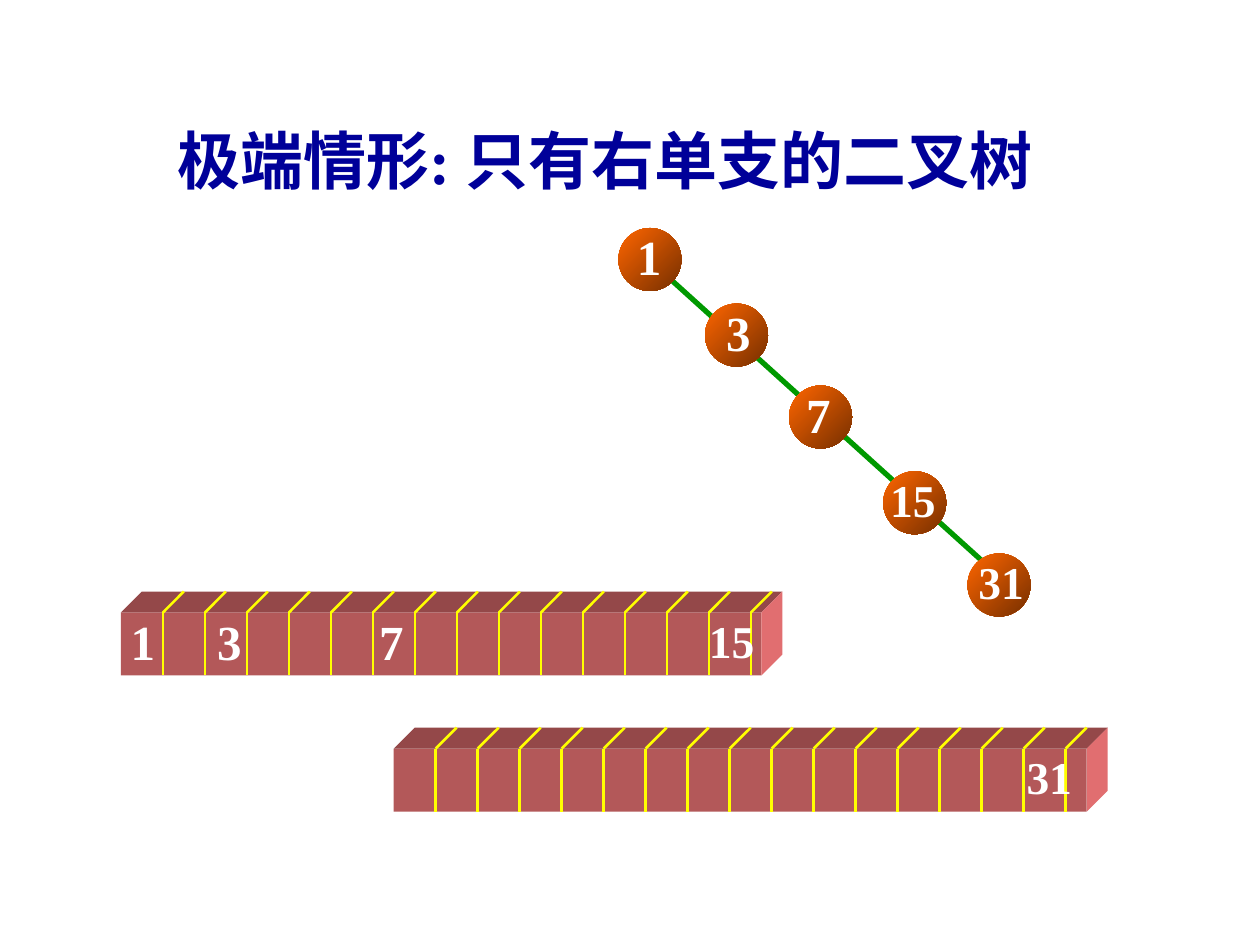
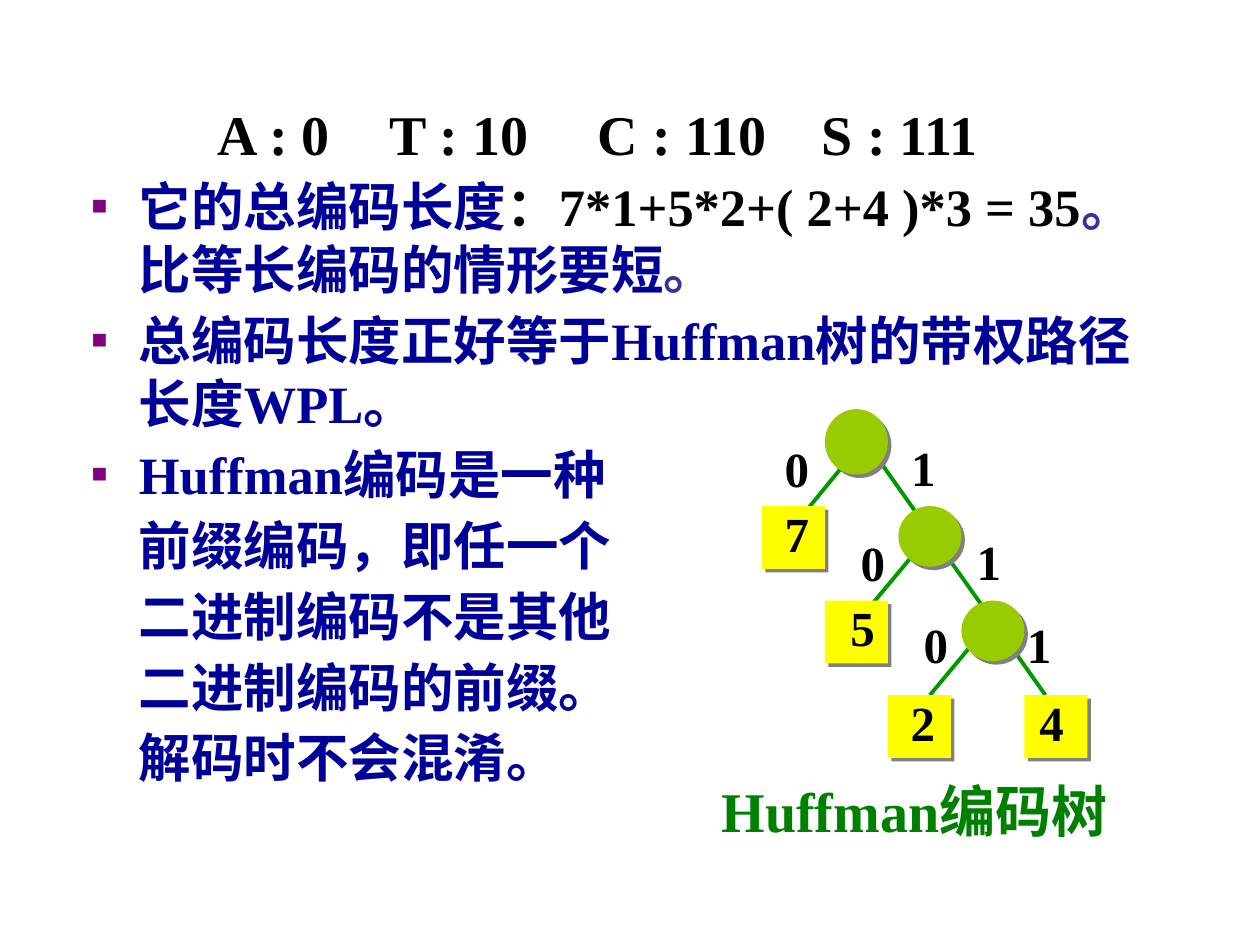
from lxml import etree
from pptx import Presentation
from pptx.dml.color import RGBColor
from pptx.enum import lang, shapes, text
from pptx.oxml.ns import qn
from pptx.util import Pt

FONT = "Times New Roman"
NAVY, INDIGO, BLACK, WHITE = "000099", "333399", "000000", "FFFFFF"
GREEN, YELLOW, LIME, GREY = "009900", "FFFF00", "99CC00", "808080"
CAPTION_GREEN, PURPLE = "008000", "800080"
BAR_FRONT, BAR_TOP, BAR_SIDE = "B35859", "944849", "E16E70"
NODE_LIGHT, NODE_DARK = "FF6600", "762F00"
CELL, DEPTH, FACE, NODE = 24, 12, 36, 36
CENTER = text.PP_ALIGN.CENTER


def color(hex_string):
    """Turn a hex string into a colour."""
    return RGBColor.from_string(hex_string)


def child(parent, tag, **attributes):
    """Append a drawing element with attributes."""
    element = etree.SubElement(parent, qn(tag))
    for key, value in attributes.items():
        element.set(key, str(value))
    return element


def add_run(paragraph, words, size, hue):
    """Add one bold run."""
    run = paragraph.add_run()
    run.text = words
    font = run.font
    font.name, font.size, font.bold = FONT, Pt(size), True
    font.color.rgb = color(hue)
    font.language_id = lang.MSO_LANGUAGE_ID.SIMPLIFIED_CHINESE


def label(shape, words, size, hue, shift=0, lift=2):
    """Centre an unwrapped label in a shape, moved right by shift and up by lift."""
    frame = shape.text_frame
    frame.word_wrap = False
    frame.margin_left, frame.margin_right = Pt(max(2 * shift, 0)), Pt(max(-2 * shift, 0))
    frame.margin_top, frame.margin_bottom = 0, Pt(2 * lift)
    frame.vertical_anchor = text.MSO_ANCHOR.MIDDLE
    frame.paragraphs[0].alignment = CENTER
    add_run(frame.paragraphs[0], words, size, hue)


def add_label(slide, center_x, center_y, words, size, hue):
    """Place a free label around a centre point."""
    box = slide.shapes.add_textbox(
        Pt(center_x - 14), Pt(center_y - 18), Pt(28), Pt(36))
    label(box, words, size, hue)


def add_line(slide, start, end, hue, width):
    """Draw a plain line between two points."""
    line = slide.shapes.add_connector(
        shapes.MSO_CONNECTOR.STRAIGHT, *(Pt(v) for v in (*start, *end)))
    line.line.color.rgb = color(hue)
    line.line.width = Pt(width)
    child(line._element.spPr, "a:effectLst")


def paint(shape, hue):
    """Give a shape a flat fill with no line or shadow."""
    shape.fill.solid()
    shape.fill.fore_color.rgb = color(hue)
    shape.line.fill.background()
    shape.shadow.inherit = False


def add_preset(slide, preset, left, top, width, height):
    """Add a preset shape measured in points."""
    return slide.shapes.add_shape(preset, Pt(left), Pt(top), Pt(width), Pt(height))


def add_face(slide, points, hue):
    """Add a slanted face of a block."""
    (x, y), *rest = [(Pt(a), Pt(b)) for a, b in points]
    outline = slide.shapes.build_freeform(x, y)
    outline.add_line_segments(rest, close=True)
    paint(outline.convert_to_shape(), hue)


def array_bar(slide, left, top, width, values):
    """Draw an array as a block; values holds cell index, number and shift."""
    right, bottom = left + width, top + FACE
    paint(add_preset(slide, shapes.MSO_SHAPE.RECTANGLE, left, top, width, FACE), BAR_FRONT)
    back = (right + DEPTH, top - DEPTH)
    add_face(slide, [(left, top), (left + DEPTH, top - DEPTH), back, (right, top)], BAR_TOP)
    add_face(slide, [(right, top), back, (right + DEPTH, bottom - DEPTH), (right, bottom)],
             BAR_SIDE)
    for index in range(1, int(width // CELL) + 1):
        x = left + index * CELL
        add_line(slide, (x, top), (x, bottom), YELLOW, 1.5)
        add_line(slide, (x, top), (x + DEPTH, top - DEPTH), YELLOW, 1.5)
    for index, value, shift in values:
        add_label(slide, left + (index + 0.5) * CELL + shift, top + FACE / 2,
                  str(value), number_size(value), WHITE)


def number_size(value):
    """Use a smaller size for two-digit numbers."""
    return 28 if value < 10 else 26


def right_chain(slide, left, top):
    """Draw the tree that has right branches only."""
    add_line(slide, (left + 25, top + 25), (left + 217.5, top + 199), GREEN, 3)
    nodes = [(0, 0, 1, -0.4), (49.5, 43.2, 3, 1), (97.5, 90, 7, -1.2),
             (151.3, 139, 15, -1), (199.5, 186, 31, 1.2)]
    for x, y, value, shift in nodes:
        node = add_preset(slide, shapes.MSO_SHAPE.OVAL, left + x, top + y, NODE, NODE)
        paint(node, NODE_LIGHT)
        node.fill.gradient()
        node.fill.gradient_angle = 315
        for stop, hue in zip(node.fill.gradient_stops, (NODE_LIGHT, NODE_DARK)):
            stop.color.rgb = color(hue)
        label(node, str(value), number_size(value), WHITE, shift)


def slide_title(slide, words, left, top, width, height):
    """Place and format the title placeholder."""
    title = slide.shapes.title
    title.left, title.top, title.width, title.height = map(Pt, (left, top, width, height))
    frame = title.text_frame
    frame.word_wrap = True
    frame.auto_size = text.MSO_AUTO_SIZE.NONE
    frame.vertical_anchor = text.MSO_ANCHOR.MIDDLE
    frame.paragraphs[0].alignment = CENTER
    add_run(frame.paragraphs[0], words, 36, NAVY)


def code_notes(slide, left, top, width, height):
    """Write the code table line and the notes below it."""
    frame = slide.shapes.add_textbox(Pt(left), Pt(top), Pt(width), Pt(height)).text_frame
    frame.word_wrap = True
    codes = frame.paragraphs[0]
    tabs = child(codes._p.get_or_add_pPr(), "a:tabLst")
    for position in (72, 170, 289.3, 417.3):
        child(tabs, "a:tab", pos=Pt(position), algn="l")
    add_run(codes, "\tA : 0\tT : 10\tC : 110\tS : 111", 32, BLACK)
    notes = [
        (True, [("它的总编码长度", NAVY), ("：7*1+5*2+( 2+4 )*3 = 35", BLACK), ("。", INDIGO),
                ("比等长编码的情形要短", NAVY), ("。", INDIGO)]),
        (True, [("总编码长度正好等于Huffman树的带权路径长度WPL。", NAVY)]),
        (True, [("Huffman编码是一种", NAVY)]),
        (False, [("前缀编码，即任一个", NAVY)]),
        (False, [("二进制编码不是其他", NAVY)]),
        (False, [("二进制编码的前缀。", NAVY)]),
        (False, [("解码时不会混淆。", NAVY)]),
    ]
    for bulleted, parts in notes:
        note = frame.add_paragraph()
        properties = note._p.get_or_add_pPr()
        properties.set("marL", str(Pt(27)))
        properties.set("indent", str(Pt(-27) if bulleted else 0))
        if bulleted:
            child(child(properties, "a:buClr"), "a:srgbClr", val=PURPLE)
            child(properties, "a:buSzPct", val=50000)
            child(properties, "a:buFont", typeface=FONT)
            child(properties, "a:buChar", char="■")
        note.space_before = Pt(4.5)
        for words, hue in parts:
            add_run(note, words, 30, hue)


def shadowed(slide, preset, left, top, height, hue):
    """Add a tree part with a hard grey shadow."""
    part = add_preset(slide, preset, left, top, NODE, height)
    paint(part, hue)
    effects = part._element.spPr.find(qn("a:effectLst"))
    shadow = child(effects, "a:outerShdw", dist=Pt(2.8), dir=45 * 60000, algn="ctr", rotWithShape=0)
    child(shadow, "a:srgbClr", val=GREY)
    return part


def huffman_tree(slide, left, top):
    """Draw the Huffman code tree with its caption."""
    caption = slide.shapes.add_textbox(Pt(left - 30.2), Pt(top + 206.2), Pt(240), Pt(45)).text_frame
    caption.word_wrap = True
    add_run(caption.paragraphs[0], "Huffman编码树", 32, CAPTION_GREEN)
    branches = [(47.5, 31, 18, 67), (90, 79, 60, 115), (126, 127.4, 96, 163.4),
                (60, 19.4, 162, 163.4)]
    for x1, y1, x2, y2 in branches:
        add_line(slide, (left + x1, top + y1), (left + x2, top + y2), GREEN, 2.25)
    for x, y, height in [(36, 0, 37.4), (78, 55.4, 34.6), (114, 109.4, 34.6)]:
        shadowed(slide, shapes.MSO_SHAPE.OVAL, left + x, top + y, height, LIME)
    leaves = [(0, 55.4, "7", 2), (36, 109.4, "5", 3.6), (72, 163.4, "2", 2),
              (150, 163.4, "4", -2.5)]
    for x, y, weight, shift in leaves:
        leaf = shadowed(slide, shapes.MSO_SHAPE.RECTANGLE, left + x, top + y, 36, YELLOW)
        label(leaf, weight, 28, BLACK, shift, lift=2.8)
    bits = {"0": [(20, 35.5), (63.4, 89.5), (99.4, 136.3)],
            "1": [(92.2, 34.8), (129.6, 88.8), (158.4, 136.3)]}
    for bit, centers in bits.items():
        for x, y in centers:
            add_label(slide, left + x, top + y, bit, 28, BLACK)


def main():
    """Build both slides and save them."""
    deck = Presentation()
    deck.slide_width, deck.slide_height = Pt(720), Pt(540)

    extreme = deck.slides.add_slide(deck.slide_layouts[5])
    right_chain(extreme, 353.4, 130.3)
    slide_title(extreme, "极端情形: 只有右单支的二叉树", 93, 65.8, 505.4, 50.4)
    array_bar(extreme, 225, 427.8, 396, [(15, 31, 2.6)])
    array_bar(extreme, 69.1, 350, 366, [(0, 1, 0.5), (2, 3, 2), (6, 7, -1.4), (14, 15, 1)])

    huffman = deck.slides.add_slide(deck.slide_layouts[6])
    code_notes(huffman, 45.3, 53.1, 630, 407.5)
    huffman_tree(huffman, 435.4, 233.8)

    deck.save("out.pptx")


if __name__ == "__main__":
    main()
